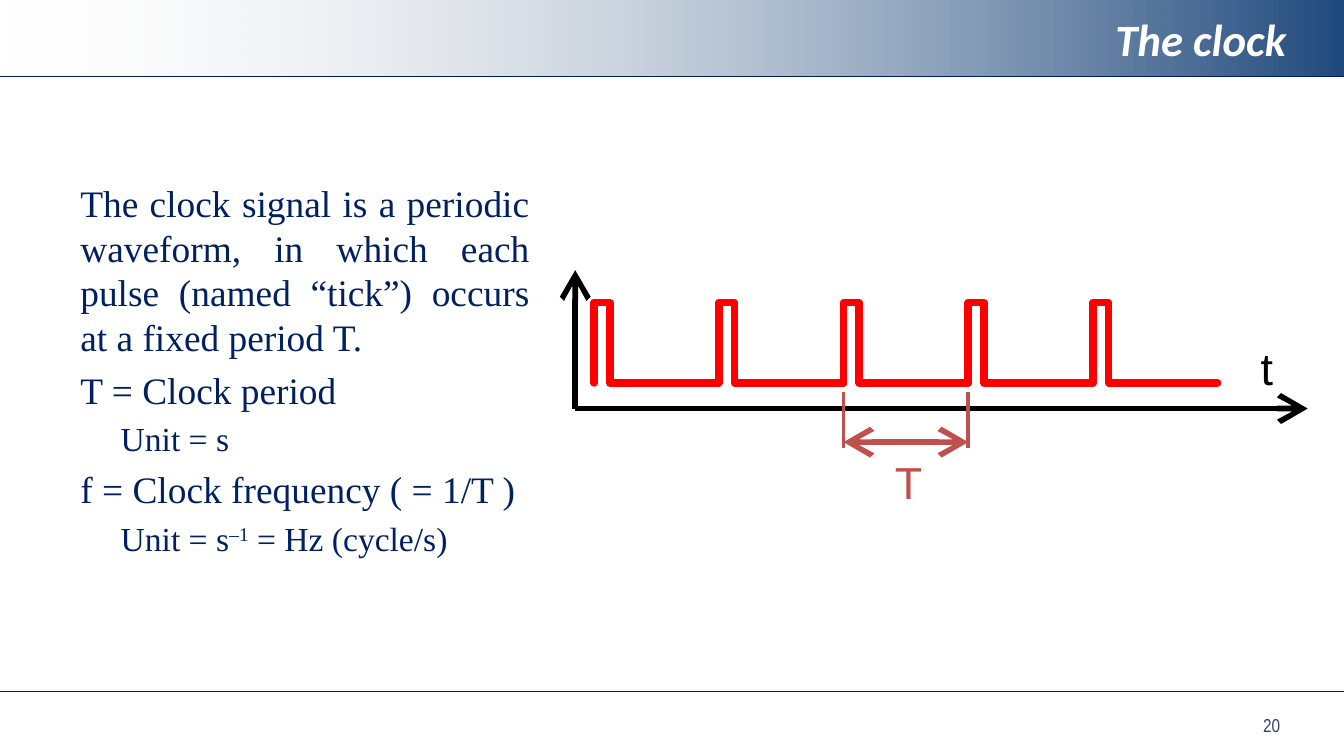
from dataclasses import dataclass
from typing import NamedTuple

from lxml import etree
from pptx import Presentation
from pptx.dml.color import RGBColor
from pptx.enum.dml import MSO_THEME_COLOR
from pptx.enum.shapes import MSO_CONNECTOR, MSO_SHAPE
from pptx.enum.text import MSO_ANCHOR, MSO_AUTO_SIZE, PP_ALIGN
from pptx.oxml.ns import qn
from pptx.util import Emu, Inches, Pt

STRAIGHT = MSO_CONNECTOR.STRAIGHT
RECTANGLE = MSO_SHAPE.RECTANGLE
BACKGROUND = MSO_THEME_COLOR.BACKGROUND_1
LEFT, CENTER, RIGHT, JUSTIFY = PP_ALIGN.LEFT, PP_ALIGN.CENTER, PP_ALIGN.RIGHT, PP_ALIGN.JUSTIFY
TOP, MIDDLE = MSO_ANCHOR.TOP, MSO_ANCHOR.MIDDLE
FIXED_SIZE = MSO_AUTO_SIZE.NONE

# Grid of square cells: 100 columns by 56.25 rows
CELL = Inches(0.1)
COLUMNS, ROWS = 100, 56.25


@dataclass(frozen=True)
class Theme:
    navy: str = "002060"
    band_start: str = "EAEAEA"
    band_end: str = "1F497D"
    white: str = "FFFFFF"
    page_number: str = "2C456E"
    signal: str = "FF0000"
    axis: str = "000000"
    period: str = "C0504D"
    heading_size: int = 24
    text_size: int = 20
    sub_size: int = 18
    number_size: int = 10


class Area(NamedTuple):
    column: float
    row: float
    width: float
    height: float


class Line(NamedTuple):
    start: tuple[float, float]
    end: tuple[float, float]
    color: str
    weight: float
    arrows: tuple[str, ...] = ()


class Label(NamedTuple):
    text: str
    area: Area
    font: dict
    align: PP_ALIGN = CENTER
    anchor: MSO_ANCHOR = MIDDLE


class Item(NamedTuple):
    spans: tuple[str, ...]
    size: int
    align: PP_ALIGN = JUSTIFY
    indent: float = 0


THEME = Theme()


def cells(count: float) -> Emu:
    return Emu(round(count * CELL))


def place(shape, area: Area) -> None:
    for name, value in zip(("left", "top", "width", "height"), area):
        setattr(shape, name, cells(value))


def format_font(font, values: dict) -> None:
    for name, value in values.items():
        if name == "color":
            font.color.rgb = RGBColor.from_string(value)
        else:
            setattr(font, name, value)


def font_values(name: str, size: int, color: str, **more) -> dict:
    return {"name": name, "size": Pt(size), "color": color, **more}


def format_frame(frame, anchor: MSO_ANCHOR) -> None:
    values = {"word_wrap": True, "auto_size": FIXED_SIZE, "vertical_anchor": anchor}
    for name, value in values.items():
        setattr(frame, name, value)


def write_label(box, label: Label) -> None:
    place(box, label.area)
    format_frame(box.text_frame, label.anchor)
    para = box.text_frame.paragraphs[0]
    para.alignment = label.align
    span = para.add_run()
    span.text = label.text
    format_font(span.font, label.font)


def add_label(page, label: Label) -> None:
    write_label(page.shapes.add_textbox(0, 0, 0, 0), label)


def add_line(page, line: Line) -> None:
    connector = page.shapes.add_connector(
        STRAIGHT, *map(cells, line.start), *map(cells, line.end))
    connector.line.color.rgb = RGBColor.from_string(line.color)
    connector.line.width = Pt(line.weight)
    outline = connector.line._get_or_add_ln()
    for arrow in line.arrows:
        etree.SubElement(outline, qn(f"a:{arrow}"), type="arrow", w="lg", len="lg")
    etree.SubElement(connector._element.spPr, qn("a:effectLst"))


def add_band(page, area: Area) -> None:
    band = page.shapes.add_shape(RECTANGLE, *map(cells, area))
    band.shadow.inherit = False
    band.line.fill.background()
    band.fill.gradient()
    band.fill.gradient_angle = 0
    first, last = band.fill.gradient_stops
    for stop, position, color in ((first, 0, THEME.band_start), (last, 1, THEME.band_end)):
        stop.position = position
        stop.color.rgb = RGBColor.from_string(color)
    # The band fades in from fully transparent
    start_color = next(band._element.spPr.iter(qn("a:srgbClr")))
    etree.SubElement(start_color, qn("a:alpha"), val="0")


def add_pulse(page, start: float, high: float, low: float, width: float, period: float) -> None:
    corners = [(start, low), (start, high), (start + width, high),
               (start + width, low), (start + period, low)]
    first, *others = [(cells(column), cells(row)) for column, row in corners]
    builder = page.shapes.build_freeform(*first)
    builder.add_line_segments(others, close=False)
    pulse = builder.convert_to_shape()
    pulse.shadow.inherit = False
    pulse.fill.background()
    pulse.line.color.rgb = RGBColor.from_string(THEME.signal)
    pulse.line.width = Pt(4)
    outline = pulse.line._get_or_add_ln()
    outline.set("cap", "rnd")
    etree.SubElement(outline, qn("a:round"))


def add_items(page, area: Area, items: list[Item]) -> None:
    box = page.shapes.add_textbox(*map(cells, area))
    frame = box.text_frame
    format_frame(frame, TOP)
    for index, item in enumerate(items):
        para = frame.add_paragraph() if index else frame.paragraphs[0]
        para.alignment = item.align
        para.space_before = Pt(0.2 * item.size if index else 0)
        if item.indent:
            para.level = 1
            para._p.get_or_add_pPr().set("marL", str(cells(item.indent)))
        for order, text in enumerate(item.spans):
            span = para.add_run()
            span.text = text
            format_font(span.font, font_values("Times New Roman", item.size, THEME.navy))
            # Every second span is a superscript
            if order % 2:
                span.font._element.set("baseline", "30000")


def main() -> None:
    deck = Presentation()
    deck.slide_width, deck.slide_height = cells(COLUMNS), cells(ROWS)
    page = deck.slides.add_slide(deck.slide_layouts[5])
    page.background.fill.solid()
    page.background.fill.fore_color.theme_color = BACKGROUND

    # Header band, rules and page number
    band = Area(0, 0, COLUMNS, 5.7)
    add_band(page, band)
    for row in (band.height, 51.45):
        add_line(page, Line((0, row), (COLUMNS, row), THEME.navy, 0.75))
    add_label(page, Label("20", Area(93, 52.6, 5.5, 2.7), font_values(
        "Arial Narrow", THEME.number_size, THEME.page_number), LEFT))

    # Title, brought in front of the band
    title = page.shapes.title
    page.shapes._spTree.append(title._element)
    write_label(title, Label("The clock", Area(5, 0.35, 91.7, 5), font_values(
        "Calibri", THEME.heading_size, THEME.white, bold=True, italic=True), RIGHT))

    # Explanation
    add_items(page, Area(5, 12.9, 35.4, 31.9), [
        Item(("The clock signal is a periodic waveform, in which each pulse "
              "(named “tick”) occurs at a fixed period T.",), THEME.text_size),
        Item(("T = Clock period",), THEME.text_size, LEFT),
        Item(("Unit = s",), THEME.sub_size, indent=3),
        Item(("f = Clock frequency ( = 1/T )",), THEME.text_size),
        Item(("Unit = s", "–1", " = Hz (cycle/s)"), THEME.sub_size, indent=3),
    ])

    # Clock waveform
    first, period = 44.2, 9.28
    ticks = [first + period * index for index in range(5)]
    for tick in ticks:
        add_pulse(page, tick, high=22.5, low=28.5, width=1.17, period=period)

    # Axes and the marked period
    origin = (42.8, 30.4)
    begin, end = ticks[2:4]
    lines = [Line(origin, (origin[0], 20.1), THEME.axis, 3, ("tailEnd",)),
             Line(origin, (97.3, origin[1]), THEME.axis, 3, ("tailEnd",))]
    lines += [Line((tick, 29.2), (tick, 33.3), THEME.period, 2) for tick in (begin, end)]
    lines.append(Line((begin, 32.9), (end, 32.9), THEME.period, 3, ("headEnd", "tailEnd")))
    for line in lines:
        add_line(page, line)
    for text, area, color in (("t", Area(92.5, 24.8, 3.5, 5.1), THEME.axis),
                              ("T", Area(65.3, 33.3, 4.6, 5.1), THEME.period)):
        add_label(page, Label(text, area, font_values("Arial", THEME.heading_size, color)))

    deck.save("out.pptx")


if __name__ == "__main__":
    main()
